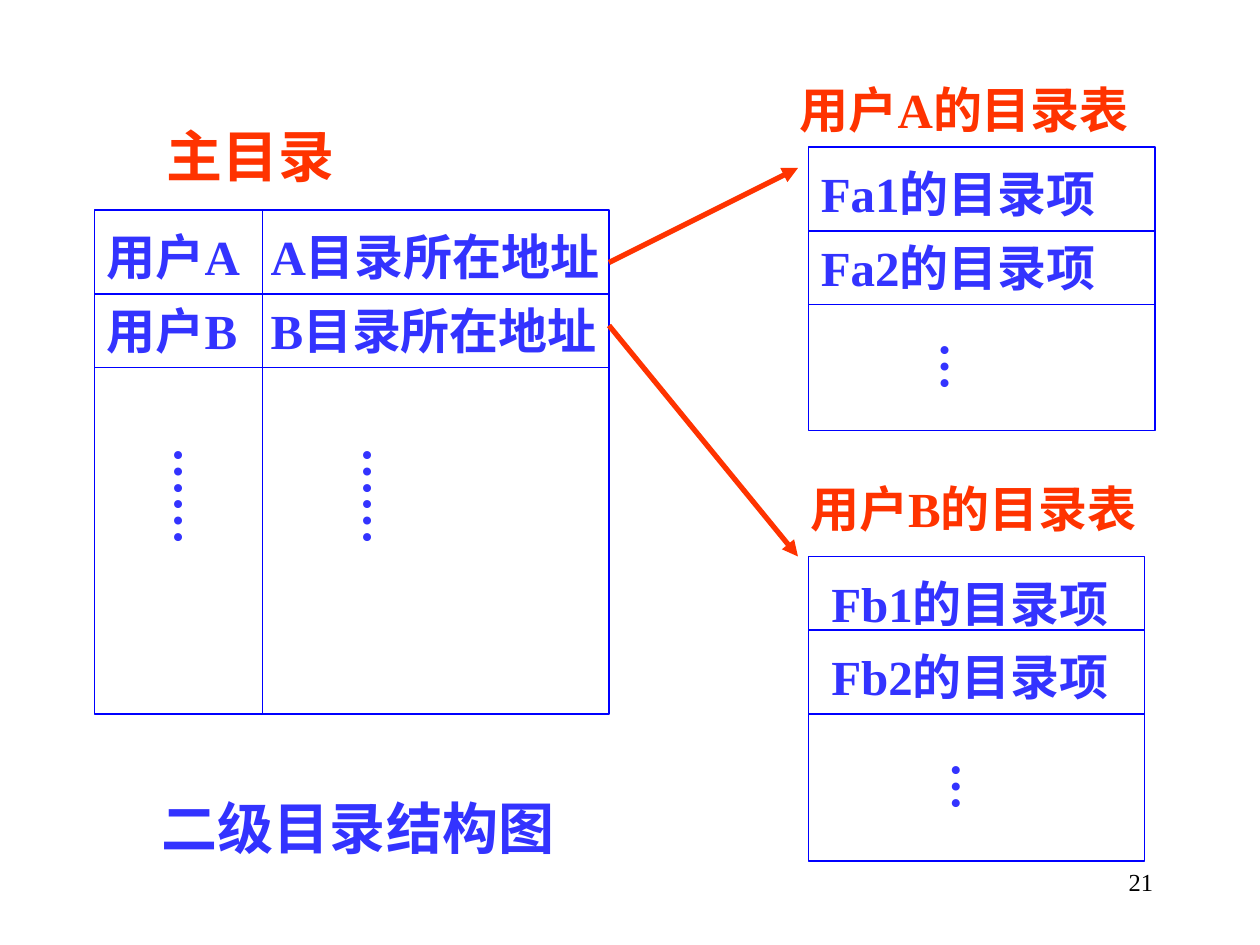
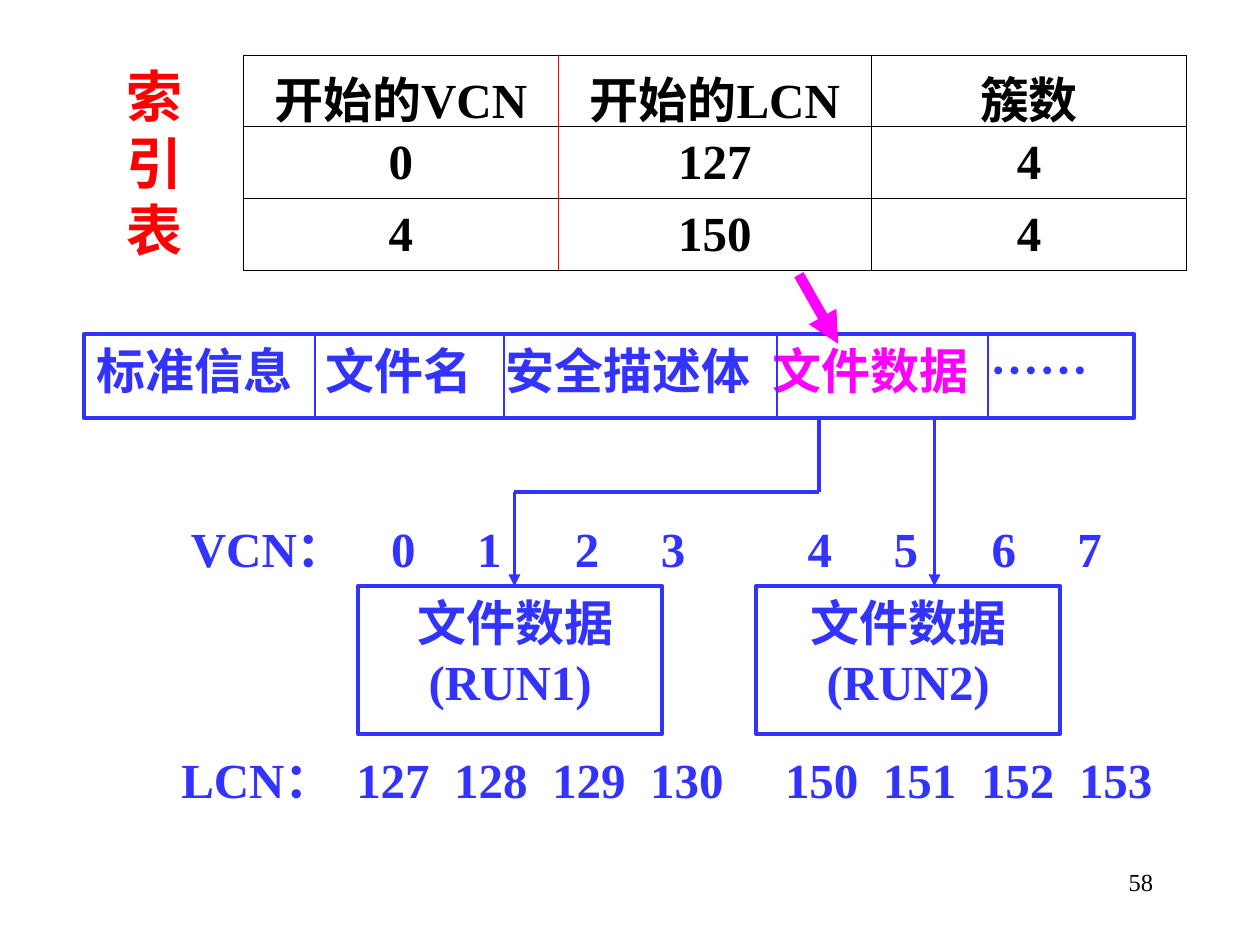
from dataclasses import dataclass
from itertools import accumulate

from lxml.etree import SubElement
from pptx import Presentation
from pptx.dml.color import RGBColor
from pptx.enum.shapes import MSO_CONNECTOR, MSO_SHAPE
from pptx.enum.text import MSO_ANCHOR, MSO_AUTO_SIZE, PP_ALIGN
from pptx.oxml.ns import qn
from pptx.shapes.autoshape import Shape
from pptx.slide import Slide
from pptx.table import _Cell
from pptx.text.text import TextFrame
from pptx.util import Pt

FONT = "Times New Roman"
INK, RULE, ORANGE = "3333FF", "0000FF", "FF3300"
RED, MAGENTA, BLACK = "FF0000", "FF00FF", "000000"
BODY, HEADING = 28, 32


@dataclass(frozen=True)
class Grid:
    """An outlined box with divider lines at given heights and abscissas."""
    left: float
    top: float
    width: float
    height: float
    rows: tuple[float, ...] = ()
    columns: tuple[float, ...] = ()
    colour: str = RULE
    weight: float = 0.75


@dataclass(frozen=True)
class Label:
    """A text box that fits its text."""
    text: str
    left: float
    top: float
    width: float
    height: float = 41
    colour: str = INK
    size: float = BODY
    wrap: bool = True
    vertical: bool = False


@dataclass(frozen=True)
class Line:
    """A straight line, with or without an arrowhead at its end."""
    start: tuple[float, float]
    end: tuple[float, float]
    colour: str
    weight: float
    arrow: bool = False


@dataclass(frozen=True)
class NumberRow:
    """A caption followed by numbers set on tab stops."""
    caption: str
    numbers: range | tuple[int, ...]
    left: float
    top: float
    first_stop: float
    steps: tuple[float, ...]


def rgb(colour: str) -> RGBColor:
    """Turn a hex string into a colour."""
    return RGBColor.from_string(colour)


def write(frame: TextFrame, *lines: str | list[tuple[str, str]], size: float = BODY,
          colour: str = INK, bold: bool = True, align: PP_ALIGN = PP_ALIGN.LEFT,
          indent: float = 0, tabs: tuple[float, ...] = ()) -> None:
    """Fill a text frame; a line is a string or a list of text and colour pairs."""
    for index, line in enumerate(lines):
        para = frame.add_paragraph() if index else frame.paragraphs[0]
        para.alignment = align
        properties = para._p.get_or_add_pPr()
        if indent and index == 0:
            properties.set("marL", str(Pt(indent)))
        if tabs:
            stops = SubElement(properties, qn("a:tabLst"))
            for stop in tabs:
                SubElement(stops, qn("a:tab"), pos=str(Pt(stop)), algn="l")
        for text, tint in [(line, colour)] if isinstance(line, str) else line:
            span = para.add_run()
            span.text = text
            span.font.name, span.font.size, span.font.bold = FONT, Pt(size), bold
            span.font.color.rgb = rgb(tint)


def text_box(page: Slide, left: float, top: float, width: float, height: float) -> TextFrame:
    """Add a wrapping text box and return its frame."""
    frame = page.shapes.add_textbox(Pt(left), Pt(top), Pt(width), Pt(height)).text_frame
    frame.word_wrap = True
    return frame


def draw_label(page: Slide, label: Label) -> None:
    """Draw a label, upright or running downwards."""
    frame = text_box(page, label.left, label.top, label.width, label.height)
    frame.word_wrap = label.wrap
    frame.auto_size = MSO_AUTO_SIZE.SHAPE_TO_FIT_TEXT
    if label.vertical:
        frame._txBody.bodyPr.set("vert", "eaVert")
        frame.margin_left = frame.margin_right = Pt(3.6)
        frame.margin_top = frame.margin_bottom = Pt(7.2)
    write(frame, label.text, size=label.size, colour=label.colour)


def draw_line(page: Slide, line: Line) -> None:
    """Draw a straight connector."""
    connector = page.shapes.add_connector(
        MSO_CONNECTOR.STRAIGHT, *(Pt(value) for value in line.start + line.end))
    connector.line.color.rgb = rgb(line.colour)
    connector.line.width = Pt(line.weight)
    if line.arrow:
        SubElement(connector.line._get_or_add_ln(), qn("a:tailEnd"), type="triangle")
    SubElement(connector._element.spPr, qn("a:effectLst"))


def draw_grid(page: Slide, grid: Grid) -> Shape:
    """Draw an unfilled box with its dividers and return the box."""
    box = page.shapes.add_shape(MSO_SHAPE.RECTANGLE, Pt(grid.left), Pt(grid.top),
                                Pt(grid.width), Pt(grid.height))
    box.shadow.inherit = False
    box.fill.background()
    box.line.color.rgb = rgb(grid.colour)
    box.line.width = Pt(grid.weight)
    box.text_frame.vertical_anchor = MSO_ANCHOR.TOP
    right, bottom = grid.left + grid.width, grid.top + grid.height
    for row in grid.rows:
        draw_line(page, Line((grid.left, row), (right, row), grid.colour, 0.75))
    for column in grid.columns:
        draw_line(page, Line((column, grid.top), (column, bottom), grid.colour, 0.75))
    return box


def draw_number_row(page: Slide, row: NumberRow) -> None:
    """Draw a caption and its numbers on one line."""
    stops = tuple(accumulate(row.steps, initial=row.first_stop))
    text = "\t".join([row.caption, *map(str, row.numbers)])
    write(text_box(page, row.left, row.top, 580, 42), text, tabs=stops)


def set_border(cell: _Cell, side: str, colour: str) -> None:
    """Give one side of a table cell a thin line."""
    line = SubElement(cell._tc.get_or_add_tcPr(), qn(f"a:{side}"), w=str(Pt(0.45)))
    fill = SubElement(line, qn("a:solidFill"))
    SubElement(fill, qn("a:srgbClr"), val=colour)


def draw_index_table(page: Slide) -> None:
    """Draw the table that maps virtual clusters to logical ones."""
    rows = (("开始的VCN", "开始的LCN", "簇数"), ("0", "127", "4"), ("4", "150", "4"))
    table = page.shapes.add_table(3, 3, Pt(139), Pt(31.5), Pt(539), Pt(123)).table
    for column, width in zip(table.columns, (180, 179, 180)):
        column.width = Pt(width)
    for row_index, values in enumerate(rows):
        table.rows[row_index].height = Pt(41)
        for column_index, value in enumerate(values):
            cell = table.cell(row_index, column_index)
            cell.vertical_anchor = MSO_ANCHOR.MIDDLE
            if row_index == 0:
                cell.margin_top, cell.margin_bottom = Pt(3.6), Pt(0)
            write(cell.text_frame, value, colour=BLACK, align=PP_ALIGN.CENTER)
            set_border(cell, "lnL", RED if column_index == 1 else BLACK)
            set_border(cell, "lnR", RED if column_index == 0 else BLACK)
            set_border(cell, "lnT", BLACK)
            set_border(cell, "lnB", BLACK)
            cell.fill.background()


def add_page(deck: Presentation, number: int) -> Slide:
    """Add a blank page with its page number."""
    page = deck.slides.add_slide(deck.slide_layouts[6])
    write(text_box(page, 516, 492, 150, 36), str(number), size=14, colour=BLACK,
          bold=False, align=PP_ALIGN.RIGHT)
    return page


def build_directory_page(deck: Presentation) -> None:
    """Show the main directory pointing to the directories of two users."""
    page = add_page(deck, 21)
    for grid in (Grid(54, 120, 294, 288, rows=(168, 210), columns=(150,)),
                 Grid(462, 84, 198, 162, rows=(132, 174)),
                 Grid(462, 318, 192, 174, rows=(360, 408))):
        draw_grid(page, grid)
    for user, top in (("A", 126), ("B", 168)):
        draw_label(page, Label(f"用户{user}", 54, top, 97))
        draw_label(page, Label(f"{user}目录所在地址", 147.5, top, 214))
    for user, left, top in (("a", 462, 90), ("b", 468, 324)):
        for entry in (1, 2):
            draw_label(page, Label(f"F{user}{entry}的目录项", left, top + 42 * (entry - 1), 190))
    for dots, left, top, height in (("……", 84, 248.5, 63), ("……", 192, 248.5, 63),
                                    ("…", 522, 188.5, 35), ("…", 528.5, 428.5, 35)):
        draw_label(page, Label(dots, left, top, 47.5, height, wrap=False, vertical=True))
    for label in (Label("主目录", 88, 66, 153, 46, ORANGE, HEADING),
                  Label("用户A的目录表", 450, 42, 227.5, colour=ORANGE),
                  Label("用户B的目录表", 456, 270, 216, colour=ORANGE),
                  Label("二级目录结构图", 85.5, 450, 330, 46, size=HEADING)):
        draw_label(page, label)
    for start, end in (((348, 150), (456, 96)), ((348, 186), (456, 318))):
        draw_line(page, Line(start, end, ORANGE, 3, arrow=True))


def build_file_record_page(deck: Presentation) -> None:
    """Show a file record whose data lie in two runs of clusters."""
    page = add_page(deck, 58)
    record = draw_grid(page, Grid(48, 191, 600, 48, columns=(180, 288, 444, 564.5),
                                  colour=INK, weight=2.25))
    write(record.text_frame, [("标准信息\t文件名\t安全描述体\t", INK),
                              ("文件数据\t", MAGENTA), ("……", INK)],
          tabs=(131, 234, 386.5, 511))
    for name, left, indent in (("RUN1", 204.5, 6), ("RUN2", 432, 0)):
        run_box = draw_grid(page, Grid(left, 335, 174, 84.5, colour=INK, weight=2.25))
        write(run_box.text_frame, "文件数据", f"({name})", align=PP_ALIGN.CENTER, indent=indent)
    draw_number_row(page, NumberRow("VCN：", range(8), 102, 292.5, 114.5,
                                    (49, 56, 49, 84, 49, 56, 49)))
    draw_number_row(page, NumberRow("LCN：", (*range(127, 131), *range(150, 154)), 96.5, 425,
                                    100, (56, 56, 56, 77, 56, 56, 56)))
    for start, end, arrow in (((534, 238.5), (534, 335), True),
                              ((468, 238.5), (468, 281), False),
                              ((468, 281), (294, 281), False),
                              ((294, 281), (294, 335), True)):
        draw_line(page, Line(start, end, INK, 2.25, arrow))
    draw_index_table(page)
    draw_line(page, Line((456.5, 157), (479, 196.5), MAGENTA, 6, arrow=True))
    draw_label(page, Label("索引表", 65, 31.5, 51, 122.5, RED, HEADING))


def main() -> None:
    """Build both pages and save the deck."""
    deck = Presentation()
    deck.slide_width, deck.slide_height = Pt(720), Pt(540)
    build_directory_page(deck)
    build_file_record_page(deck)
    deck.save("out.pptx")


if __name__ == "__main__":
    main()
